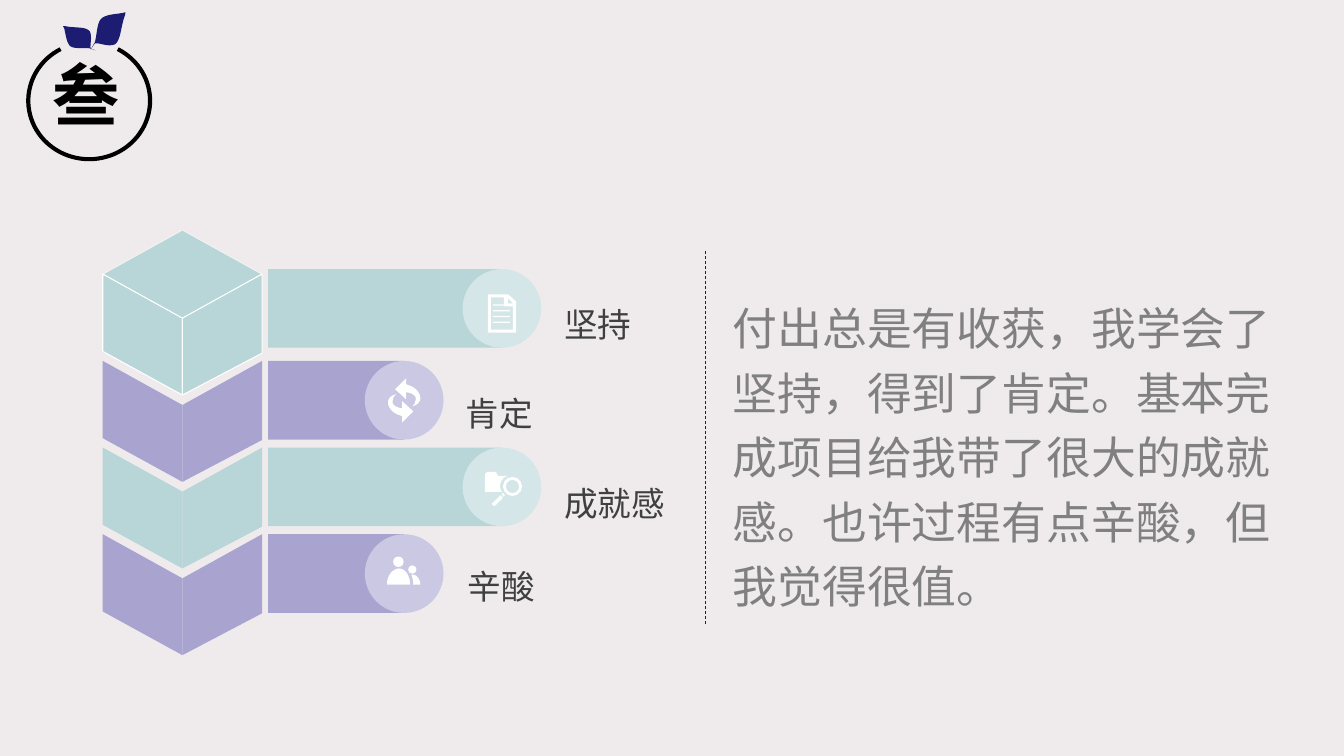
from dataclasses import dataclass
from math import cos, radians, sin
from typing import Optional

from lxml.etree import SubElement
from pptx import Presentation
from pptx.dml.color import RGBColor
from pptx.enum.dml import MSO_LINE
from pptx.enum.shapes import MSO_CONNECTOR, MSO_SHAPE
from pptx.enum.text import MSO_AUTO_SIZE
from pptx.oxml.ns import qn
from pptx.util import Pt

FONT = "Noto Sans CJK SC"
HUES = {"back": "EFEBEC", "teal": "B8D5D7", "mint": "D4E6E7", "plum": "A9A3D0",
        "lilac": "CBC8E3", "white": "FFFFFF", "edge": "F2F2F2", "leaf": "1C1C73",
        "black": "000000", "body": "808080", "label": "404040", "rule": "20202E"}
Spot = tuple[float, float]


@dataclass
class Row:
    top: float       # bar
    block: float     # upper corner of the stack block
    width: float
    hue: str
    disc: str
    icon: str
    label: str
    box: tuple[float, float, float]  # label left, top, width
    wrap: bool = False
    edge: Optional[str] = None


@dataclass
class Icon:
    paths: list[str]                          # offsets from the disc centre
    dots: tuple = ()                          # left, top, size
    bars: tuple = ()                          # left, top, width, height
    lens: Optional[tuple[float, float, float]] = None
    twin: bool = False                        # add the half-turned path


ICONS = {
    "page": Icon(
        ["M 10.1 -5 L 4.3 -10.1 L -10.1 -10.1 L -10.1 17.3 L 10.1 17.3 "
         "M 7.9 -3.6 L 4.3 -3.6 L 4.3 -7.2 "
         "M 7.9 15.1 L -7.9 15.1 L -7.9 -7.9 L 1.4 -7.9 L 1.4 -1.4 L 7.9 -1.4"],
        bars=tuple((-6.5, -2.9 + 4.1 * i, 12.2, 0.9) for i in range(4))),
    "cycle": Icon(
        ["M 2.9 -10.8 L 1.4 -11.5 L 1.4 -15.8 L -6.5 -7.9 L 1.4 -0.7 L 1.4 -5.8 "
         "C 7.2 -5 9.4 -2.2 7.9 0.7 C 7.9 2.2 7.2 2.9 5.8 4.3 "
         "C 8.6 3.6 10.8 2.2 11.5 -0.7 C 12.2 -4.3 8.6 -9.4 2.9 -10.8"], twin=True),
    "search": Icon(
        ["M 1.4 -6.5 C 2.2 -7.2 2.9 -7.2 4.3 -7.9 L -2.9 -7.9 L -4.3 -10.8 L -8.6 -10.8 "
         "C -10.8 -10.8 -12.2 -10.1 -12.2 -7.2 L -12.2 3.6 L 0 3.6 "
         "C -2.2 0 -1.4 -3.6 1.4 -6.5",
         "M 1.4 5 C 1.4 4.3 0.7 4.3 0 5 L 1.4 7.2 C 2.2 6.5 2.2 5.8 1.4 5 "
         "M -6.5 11.5 C -7.2 11.5 -7.2 13 -6.5 13 C -5.8 13.7 -5 13.7 -4.3 13 "
         "L 0.7 7.9 L -0.7 5.8"], lens=(0.8, -7.1, 13.6)),
    "people": Icon(
        ["M -3.6 -3.6 C -7.9 -3.6 -12.2 1.4 -12.2 7.2 L -12.2 7.9 L 4.3 7.9 "
         "C 4.3 1.4 0.7 -3.6 -3.6 -3.6",
         "M 5.8 0.7 L 5 0.7 C 5.8 2.2 6.5 5 6.5 7.2 L 6.5 7.9 L 11.5 7.9 "
         "C 11.5 3.6 8.6 0.7 5.8 0.7"],
        dots=((-7.9, -12.2, 7.5), (2.9, -5.8, 5.8))),
}
ROWS = [
    Row(192.2, 195.8, 167, "teal", "mint", "page", "坚持", (396, 208.1, 63.4), edge="white"),
    Row(257.8, 257.8, 97.2, "plum", "lilac", "cycle", "肯定", (325.4, 271.4, 63.4)),
    Row(319.7, 319.7, 167, "teal", "mint", "search", "成就感", (396, 335.5, 87.1)),
    Row(381.6, 381.6, 97.2, "plum", "lilac", "people", "辛酸", (326.9, 395.3, 79.2), wrap=True),
]
LEAVES = [
    "M 68.4 36 L 64.1 34.6 C 61.2 33.8 53.3 35.3 50.4 33.1 C 47.5 31 46.8 23.8 46.1 20.9 "
    "C 45.4 18.7 43.9 18.7 46.8 18.7 C 52.6 20.2 61.2 18.7 64.1 22.3 "
    "C 66.2 25.9 64.1 32.4 64.8 34.6",
    "M 64.8 35.3 L 67.7 30.2 C 69.1 26.6 69.1 16.6 72 13.7 C 74.9 10.1 83.5 10.1 86.4 9.4 "
    "C 89.3 9.4 90 7.2 89.3 10.8 C 86.4 18 86.4 28.8 82.1 31.7 "
    "C 77 33.8 70.6 30.2 67.7 31",
]
LEFT, MID, RIGHT = 73.4, 130.3, 187.2
BAR, HIGH = 191.5, 56.2

deck = Presentation()
deck.slide_width, deck.slide_height = Pt(960), Pt(540)
slide = deck.slides.add_slide(deck.slide_layouts[6])
shapes = slide.shapes


def tint(name: str) -> RGBColor:
    return RGBColor.from_string(HUES[name])


def paint(shape, hue: str, edge: Optional[str] = None) -> None:
    shape.shadow.inherit = False
    shape.fill.solid()
    shape.fill.fore_color.rgb = tint(hue)
    if edge:
        shape.line.color.rgb = tint(edge)
        shape.line.width = Pt(0.75)
    else:
        shape.line.fill.background()


def trace(text: str) -> list[list[Spot]]:
    """Turn M, L and C commands into rings of points."""
    rings, words = [], iter(text.split())
    for word in words:
        need = 3 if word == "C" else 1
        spots = [(float(next(words)), float(next(words))) for _ in range(need)]
        if word == "M":
            rings.append(spots)
        elif word == "L":
            rings[-1] += spots
        else:
            a, (b, c, d) = rings[-1][-1], spots
            for t in (i / 8 for i in range(1, 9)):
                u = 1 - t
                rings[-1].append(tuple(
                    u**3 * a[k] + 3 * u * u * t * b[k] + 3 * u * t * t * c[k] + t**3 * d[k]
                    for k in (0, 1)))
    return rings


def outline(rings: list[list[Spot]], hue: str, edge: Optional[str] = None,
            x: float = 0, y: float = 0, sign: int = 1) -> None:
    pen = None
    for ring in rings:
        first, *rest = [(Pt(x + sign * a), Pt(y + sign * b)) for a, b in ring]
        if pen is None:
            pen = shapes.build_freeform(*first, scale=1.0)
        else:
            pen.move_to(*first)
        pen.add_line_segments(rest, close=True)
    paint(pen.convert_to_shape(), hue, edge)


def preset(kind, x: float, y: float, w: float, h: float, hue: str):
    shape = shapes.add_shape(kind, Pt(x), Pt(y), Pt(w), Pt(h))
    paint(shape, hue)
    return shape


def write(text: str, x: float, y: float, w: float, h: float, size: float, hue: str,
          wrap: bool = True, space: Optional[float] = 1.2, bold: bool = False):
    frame = shapes.add_textbox(Pt(x), Pt(y), Pt(w), Pt(h)).text_frame
    frame.word_wrap = wrap
    frame.auto_size = MSO_AUTO_SIZE.SHAPE_TO_FIT_TEXT
    para = frame.paragraphs[0]
    para.text = text
    para.line_spacing = space
    font = para.font
    font.name, font.size, font.bold = FONT, Pt(size), bold
    font.color.rgb = tint(hue)
    props = para._p.get_or_add_pPr().find(qn("a:defRPr"))
    SubElement(props, qn("a:ea")).set("typeface", FONT)
    return frame


def draw_icon(icon: Icon, x: float, y: float) -> None:
    for text in icon.paths:
        for sign in (1, -1) if icon.twin else (1,):
            outline(trace(text), "white", x=x, y=y, sign=sign)
    for a, b, size in icon.dots:
        preset(MSO_SHAPE.OVAL, x + a, y + b, size, size, "white")
    for a, b, w, h in icon.bars:
        preset(MSO_SHAPE.RECTANGLE, x + a, y + b, w, h, "white")
    if icon.lens:
        a, b, size = icon.lens
        preset(MSO_SHAPE.DONUT, x + a, y + b, size, size, "white").adjustments[0] = 0.15


def draw_row(row: Row) -> None:
    # Two faces of the stack block
    t = row.block
    for side, drop in ((LEFT, 55.2), (RIGHT, 56.5)):
        face = [(side, t), (side, t + drop), (MID, t + 86.4), (MID, t + 31.5)]
        outline([face], row.hue, row.edge)
    # Bar with its disc, icon and label
    end = BAR + row.width
    preset(MSO_SHAPE.RECTANGLE, BAR, row.top, row.width, HIGH, row.hue)
    preset(MSO_SHAPE.OVAL, end - HIGH / 2, row.top, HIGH, HIGH, row.disc)
    draw_icon(ICONS[row.icon], end, row.top + HIGH / 2)
    x, y, w = row.box
    write(row.label, x, y, w, 38.9, 24, "label", row.wrap)


# Background
slide.background.fill.solid()
slide.background.fill.fore_color.rgb = tint("back")

# Stack lid and rows
outline([[(LEFT, 195.8), (MID, 227.3), (RIGHT, 195.8), (MID, 164.3)]], "teal", "edge")
for row in ROWS:
    draw_row(row)

# Dashed divider and body text
rule = shapes.add_connector(MSO_CONNECTOR.STRAIGHT, Pt(504), Pt(179.3), Pt(504), Pt(446.4))
SubElement(rule._element.spPr, qn("a:effectLst"))
rule.line.color.rgb = tint("rule")
rule.line.width = Pt(0.5)
rule.line.dash_style = MSO_LINE.DASH
body = write("付出总是有收获，我学会了坚持，得到了肯定。基本完成项目给我带了很大的成就感。"
             "也许过程有点辛酸，但我觉得很值。", 523.4, 203.8, 399.6, 236.2, 32, "body")
body.margin_left = 0

# Badge: leaves, open ring and numeral
for leaf in LEAVES:
    outline(trace(leaf), "leaf")
turns = [radians(a) for a in range(28, 333, 4)]
outer = [(63.7 + 45 * sin(a), 72 - 43.2 * cos(a)) for a in turns]
inner = [(63.7 + 42 * sin(a), 72 - 40.3 * cos(a)) for a in reversed(turns)]
outline([outer + inner], "black")
write("叁", 30.2, 34.6, 72, 65.5, 48, "black", space=None, bold=True)

deck.save("out.pptx")
